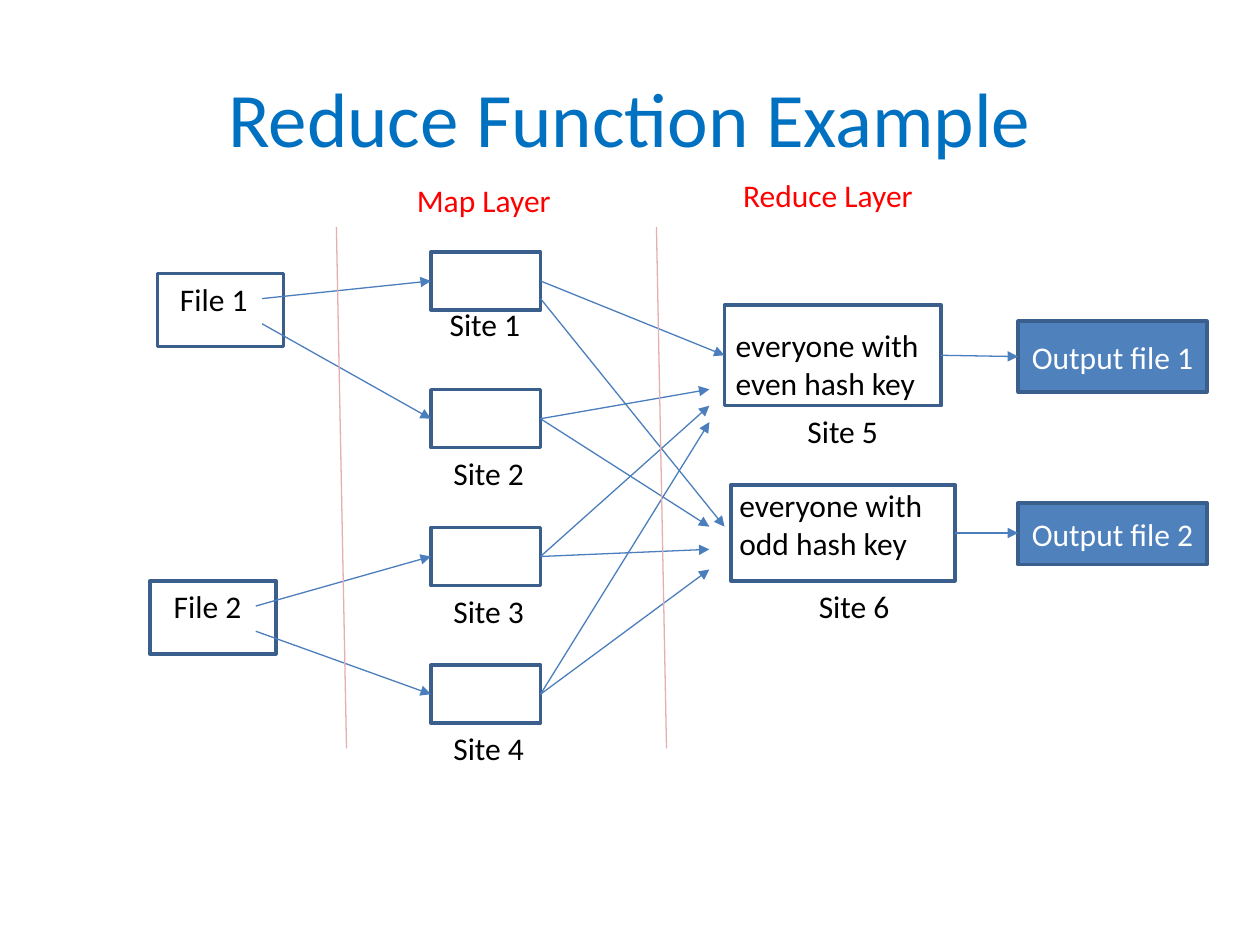
from pptx import Presentation
from pptx.dml.color import RGBColor
from pptx.enum.shapes import MSO_CONNECTOR, MSO_SHAPE
from pptx.enum.text import MSO_ANCHOR, MSO_AUTO_SIZE, PP_ALIGN
from pptx.oxml.ns import qn
from pptx.util import Inches, Pt
from lxml import etree

STRAIGHT = MSO_CONNECTOR.STRAIGHT
RECTANGLE = MSO_SHAPE.RECTANGLE
MIDDLE = MSO_ANCHOR.MIDDLE
FIT_TEXT = MSO_AUTO_SIZE.SHAPE_TO_FIT_TEXT
CENTER = PP_ALIGN.CENTER

TITLE_BLUE = RGBColor(0x00, 0x70, 0xC0)
BORDER = RGBColor(0x3A, 0x5F, 0x8C)
FLOW = RGBColor(0x4B, 0x7E, 0xBC)
DIVIDER = RGBColor(0xE3, 0xB0, 0xAF)
OUTPUT_FILL = RGBColor(0x4F, 0x81, 0xBD)
BLACK = RGBColor(0, 0, 0)
RED = RGBColor(0xFF, 0, 0)
WHITE = RGBColor(0xFF, 0xFF, 0xFF)


class Diagram:
    font_name = "Calibri"
    body_size = 18
    title_size = 44

    def __init__(self, slide):
        self.slide = slide

    def set_text(self, frame, text, color, size=body_size, align=None):
        paragraph = frame.paragraphs[0]
        paragraph.text = text
        paragraph.alignment = align
        paragraph.font.name = self.font_name
        paragraph.font.size = Pt(size)
        paragraph.font.color.rgb = color

    def title(self, text, *place):
        heading = self.slide.shapes.title
        heading.left, heading.top, heading.width, heading.height = map(Inches, place)
        heading.text_frame.vertical_anchor = MIDDLE
        self.set_text(heading.text_frame, text, TITLE_BLUE, self.title_size, CENTER)

    def label(self, text, left, top, width, height=0.4, color=BLACK):
        box = self.slide.shapes.add_textbox(*map(Inches, (left, top, width, height)))
        box.text_frame.word_wrap = False
        box.text_frame.auto_size = FIT_TEXT
        self.set_text(box.text_frame, text, color)

    def box(self, left, top, width, height, text=None):
        shape = self.slide.shapes.add_shape(
            RECTANGLE, *map(Inches, (left, top, width, height)))
        shape.shadow.inherit = False
        shape.line.color.rgb = BORDER
        shape.line.width = Pt(2)
        if text is None:
            shape.fill.background()
        else:
            shape.fill.solid()
            shape.fill.fore_color.rgb = OUTPUT_FILL
            shape.text_frame.vertical_anchor = MIDDLE
            self.set_text(shape.text_frame, text, WHITE, align=CENTER)

    def line(self, start, end, color=FLOW, arrow=True):
        connector = self.slide.shapes.add_connector(
            STRAIGHT, *map(Inches, (*start, *end)))
        connector.line.color.rgb = color
        connector.line.width = Pt(0.75)
        properties = connector.element.spPr
        if arrow:
            outline = properties.find(qn("a:ln"))
            etree.SubElement(outline, qn("a:tailEnd"), type="triangle")
        etree.SubElement(properties, qn("a:effectLst"))


prs = Presentation()
prs.slide_width, prs.slide_height = Inches(10), Inches(7.5)
diagram = Diagram(prs.slides.add_slide(prs.slide_layouts[5]))
diagram.title("Reduce Function Example", 0.5, 0.3, 9, 1.25)

SITE_LEFT, SITE_WIDTH, SITE_HEIGHT = 3.42, 0.87, 0.46
SITE_RIGHT = SITE_LEFT + SITE_WIDTH
site_tops = [2 + 3.28 * i / 3 for i in range(4)]
site_middles = [top + SITE_HEIGHT / 2 for top in site_tops]
site_labels = [(3.47, 2.37)] + [(3.5, top + SITE_HEIGHT) for top in site_tops[1:]]

for number, (top, label_at) in enumerate(zip(site_tops, site_labels), 1):
    diagram.label(f"Site {number}", *label_at, 0.77)
    diagram.box(SITE_LEFT, top, SITE_WIDTH, SITE_HEIGHT)

files = [("File 1", 1.25, 1.33, 2.17), ("File 2", 1.19, 1.28, 4.61)]
for index, (name, left, label_left, top) in enumerate(files):
    diagram.label(name, label_left, top, 0.75)
    diagram.box(left, top, 1, 0.58)
    for branch in range(2):
        diagram.line((label_left + 0.75, top + 0.2 + 0.2 * branch),
                     (SITE_LEFT, site_middles[2 * index + branch]))

reducers = [
    ("Site 5", (6.31, 3.22), (5.75, 2.42, 1.72, 0.8),
     "everyone with \neven hash key", (5.74, 2.54)),
    ("Site 6", (6.4, 4.61), (5.8, 3.85, 1.78, 0.76),
     "everyone with \nodd hash key", (5.77, 3.81)),
]
for site, site_at, frame, rule, rule_at in reducers:
    diagram.label(site, *site_at, 0.77)
    diagram.box(*frame)
    diagram.label(rule, *rule_at, 1.73, 0.71)

even_targets = [(5.75, 2.82), (5.63, 3.09), (5.63, 3.22), (5.63, 3.35)]
odd_targets = [(5.75, 4.18), (5.63, 4.18), (5.63, 4.36), (5.63, 4.52)]
odd_starts = [2.37] + site_middles[1:]
for starts, targets in ((site_middles, even_targets), (odd_starts, odd_targets)):
    for start, target in zip(starts, targets):
        diagram.line((SITE_RIGHT, start), target)

diagram.label("Map Layer", 3.21, 1.39, 1.28, color=RED)
diagram.label("Reduce Layer", 5.8, 1.35, 1.57, color=RED)
for left in (2.67, 5.21):
    diagram.line((left, 1.8), (left + 0.08, 5.94), DIVIDER, arrow=False)

outputs = [
    ("Output file 1", 2.55, 0.56, (7.47, 2.82), 2.83),
    ("Output file 2", 3.99, 0.49, (7.58, 4.23), 4.23),
]
for name, top, height, start, entry in outputs:
    diagram.box(8.08, top, 1.5, height, name)
    diagram.line(start, (8.08, entry))

prs.save("out.pptx")
